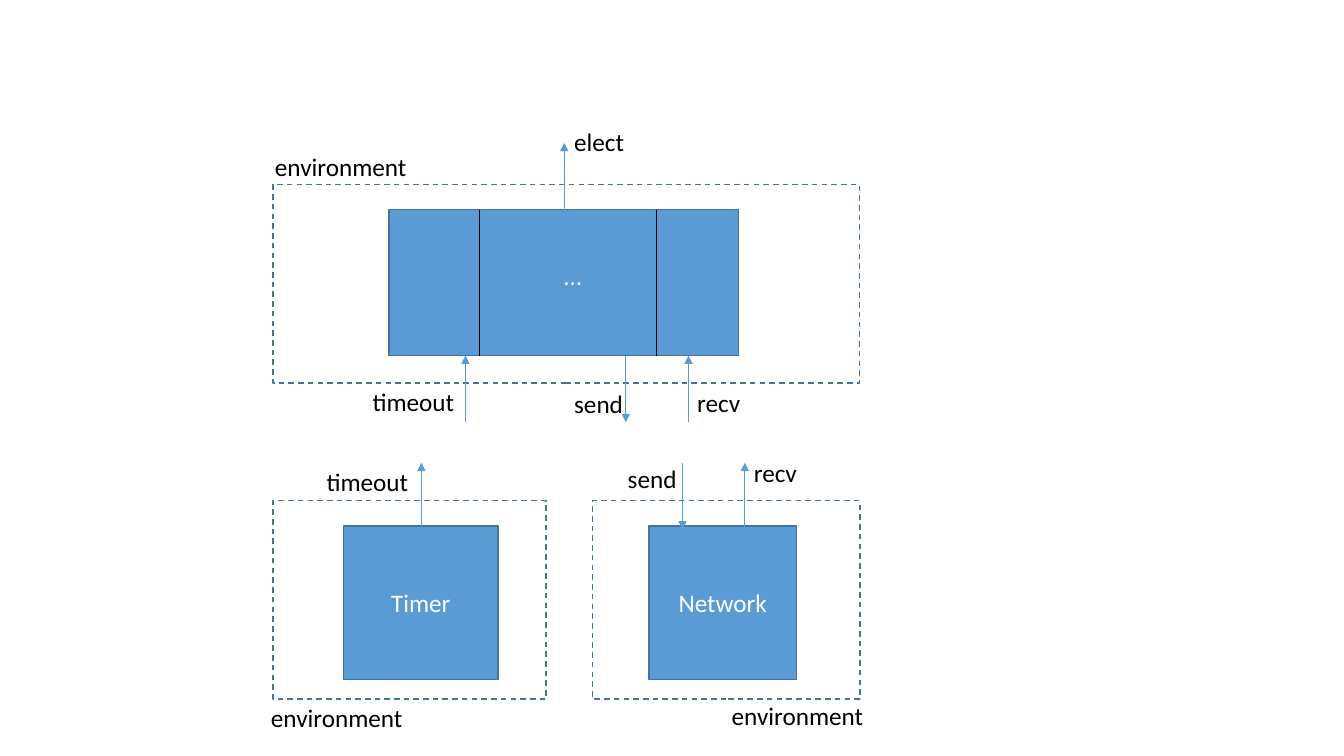
from lxml import etree
from pptx import Presentation
from pptx.dml.color import RGBColor
from pptx.enum.dml import MSO_LINE
from pptx.enum.shapes import MSO_CONNECTOR as Link, MSO_SHAPE as Preset
from pptx.enum.text import MSO_ANCHOR as Anchor, MSO_AUTO_SIZE as AutoSize, PP_ALIGN as Align
from pptx.oxml.ns import qn
from pptx.util import Cm, Pt

COLORS = {"fill": "5B9BD5", "edge": "43739E", "ink": "000000", "light": "FFFFFF"}
LABEL_WIDTHS = {"timeout": 2.59, "send": 1.75, "recv": 1.6, "elect": 1.78,
                "environment": 3.86, "…": 0.97}
LABEL_HEIGHT = 1.02
ARROW_LENGTH = 1.68

# Levels shared by the parts, in cm
BANK_TOP, BANK_HEIGHT = 5.28, 3.68
BANK_BOTTOM = BANK_TOP + BANK_HEIGHT
MODULE_TOP, MODULE_HEIGHT = 13.26, 3.86
PORT_TOP = 11.66
FRAME_HEIGHT = 5


def color(name):
    return RGBColor.from_string(COLORS[name])


def write(paragraph, words, ink):
    run = paragraph.add_run()
    run.text = words
    run.font.name = "Calibri"
    run.font.size = Pt(18)
    run.font.color.rgb = color(ink)


def add_box(slide, left, top, width, height):
    box = slide.shapes.add_shape(Preset.RECTANGLE, Cm(left), Cm(top), Cm(width), Cm(height))
    box.shadow.inherit = False
    box.line.color.rgb = color("edge")
    box.line.width = Pt(1)
    return box


def add_module(slide, left, top, width, height, name=None):
    module = add_box(slide, left, top, width, height)
    module.fill.solid()
    module.fill.fore_color.rgb = color("fill")
    if name:
        module.text_frame.vertical_anchor = Anchor.MIDDLE
        paragraph = module.text_frame.paragraphs[0]
        paragraph.alignment = Align.CENTER
        write(paragraph, name, "light")


def add_environment(slide, left, top, width):
    frame = add_box(slide, left, top, width, FRAME_HEIGHT)
    frame.fill.background()
    frame.line.dash_style = MSO_LINE.DASH


def add_vertical(slide, x, start, end, ink):
    line = slide.shapes.add_connector(Link.STRAIGHT, Cm(x), Cm(start), Cm(x), Cm(end))
    line.line.color.rgb = color(ink)
    line.line.width = Pt(0.5)
    etree.SubElement(line._element.spPr, qn("a:effectLst"))
    return line


def add_arrow(slide, x, start, end):
    arrow = add_vertical(slide, x, start, end, "fill")
    etree.SubElement(arrow.line._get_or_add_ln(), qn("a:tailEnd"), type="triangle")


def add_label(slide, words, left, top, ink="ink"):
    label = slide.shapes.add_textbox(Cm(left), Cm(top), Cm(LABEL_WIDTHS[words]), Cm(LABEL_HEIGHT))
    label.text_frame.word_wrap = False
    label.text_frame.auto_size = AutoSize.SHAPE_TO_FIT_TEXT
    write(label.text_frame.paragraphs[0], words, ink)


def main():
    deck = Presentation()
    deck.slide_width, deck.slide_height = Cm(33.87), Cm(19.05)
    slide = deck.slides.add_slide(deck.slide_layouts[6])

    # Composed module with its dividers
    add_module(slide, 9.8, BANK_TOP, 8.81, BANK_HEIGHT)
    for x in (12.07, 16.54):
        add_vertical(slide, x, BANK_TOP, BANK_BOTTOM, "ink")
    add_label(slide, "…", 13.97, 6.43, "light")

    # Timer and network modules
    add_module(slide, 8.66, MODULE_TOP, 3.89, MODULE_HEIGHT, "Timer")
    add_module(slide, 16.36, MODULE_TOP, 3.71, MODULE_HEIGHT, "Network")

    # Dashed environments
    for left, top, width in ((6.88, 4.65, 14.78), (6.88, 12.62, 6.88), (14.94, 12.62, 6.73)):
        add_environment(slide, left, top, width)

    # Event arrows: x, upper end, whether it points up
    for x, top, upward in (
        (14.22, BANK_TOP - ARROW_LENGTH, True),
        (11.73, BANK_BOTTOM, True),
        (15.77, BANK_BOTTOM, False),
        (17.35, BANK_BOTTOM, True),
        (10.62, PORT_TOP, True),
        (17.2, PORT_TOP, False),
        (18.77, PORT_TOP, True),
    ):
        bottom = top + ARROW_LENGTH
        start, end = (bottom, top) if upward else (top, bottom)
        add_arrow(slide, x, start, end)

    # Event and environment labels
    for words, left, top in (
        ("elect", 14.22, 3.05),
        ("timeout", 9.14, 9.6),
        ("send", 14.22, 9.65),
        ("recv", 17.32, 9.63),
        ("timeout", 7.98, 11.63),
        ("send", 15.57, 11.56),
        ("recv", 18.75, 11.4),
        ("environment", 6.68, 3.68),
        ("environment", 6.58, 17.58),
        ("environment", 18.19, 17.53),
    ):
        add_label(slide, words, left, top)

    deck.save("out.pptx")


if __name__ == "__main__":
    main()
